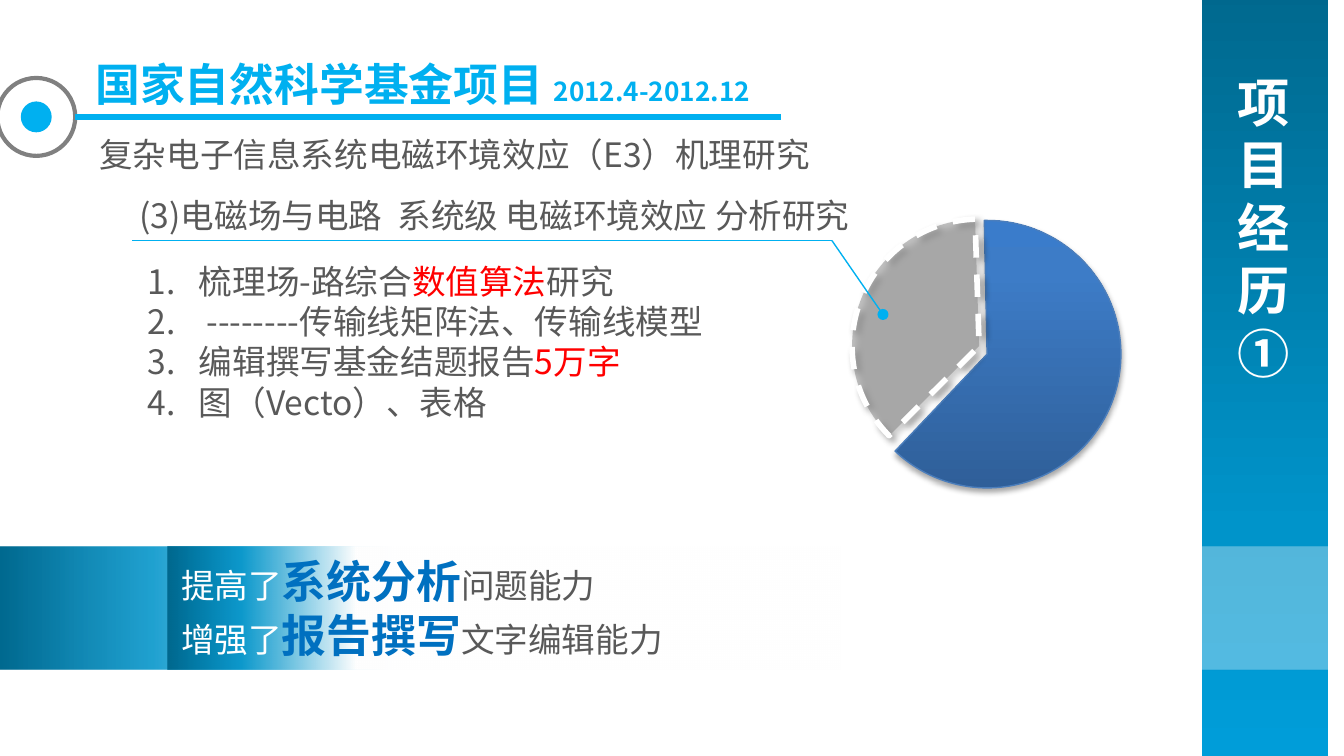
from lxml.etree import SubElement
from pptx import Presentation
from pptx.dml.color import RGBColor
from pptx.enum.dml import MSO_LINE
from pptx.enum.shapes import MSO_CONNECTOR, MSO_SHAPE
from pptx.enum.text import MSO_ANCHOR, MSO_AUTO_SIZE, PP_ALIGN
from pptx.oxml.ns import qn
from pptx.util import Inches, Pt

FONT = "Noto Sans CJK SC"
HUES = {
    "sky": "00B0F0", "gray": "808080", "ink": "595959", "red": "FF0000",
    "blue": "0070C0", "white": "FFFFFF", "black": "000000", "edge": "4B7EBC",
    "deep": "00688E", "sea": "0094CA", "aqua": "00A9EC",
    "navy": "2F5F99", "mid": "3D7CC7", "light": "3A7CCB",
}
FADE = [(0, "deep", 100), (11, "sea", 87), (28, "white", 100), (67, "white", 32)]


def rgb(hue):
    """Return the colour of a named hue."""
    return RGBColor.from_string(HUES[hue])


def add_hue(node, hue, alpha=100):
    """Add a colour with its opacity in percent to an XML node."""
    color = SubElement(node, qn("a:srgbClr"), val=HUES[hue])
    if alpha < 100:
        SubElement(color, qn("a:alpha"), val=str(alpha * 1000))


def shade(shape, stops, angle):
    """Fill a shape with a linear gradient, its angle clockwise."""
    shape.fill.background()
    props = shape.element.spPr
    grad = props.makeelement(qn("a:gradFill"), {"rotWithShape": "1"})
    props.replace(props.find(qn("a:noFill")), grad)
    steps = SubElement(grad, qn("a:gsLst"))
    for place, hue, alpha in stops:
        add_hue(SubElement(steps, qn("a:gs"), pos=str(place * 1000)), hue, alpha)
    SubElement(grad, qn("a:lin"), ang=str(angle * 60000), scaled="0")


def cast(shape, alpha, blur, dist, angle):
    """Give a shape an outer shadow."""
    effects = shape.element.spPr.find(qn("a:effectLst"))
    outer = SubElement(effects, qn("a:outerShdw"), blurRad=str(Pt(blur)),
                       dist=str(Pt(dist)), dir=str(angle * 60000), rotWithShape="0")
    add_hue(outer, "black", alpha)


def add_form(slide, kind, box, fill=None, line=None, width=1):
    """Add a preset shape without shadow."""
    shape = slide.shapes.add_shape(kind, *map(Inches, box))
    shape.shadow.inherit = False
    if fill:
        shape.fill.solid()
        shape.fill.fore_color.rgb = rgb(fill)
    else:
        shape.fill.background()
    if line:
        shape.line.color.rgb = rgb(line)
        shape.line.width = Pt(width)
    else:
        shape.line.fill.background()
    return shape


def add_line(slide, start, end, width):
    """Add a plain sky-blue line."""
    line = slide.shapes.add_connector(
        MSO_CONNECTOR.STRAIGHT, *map(Inches, start + end))
    line.line.color.rgb = rgb("sky")
    line.line.width = Pt(width)
    SubElement(line.element.spPr, qn("a:effectLst"))
    return line


def put_text(shape, lines, wrap=True, anchor=MSO_ANCHOR.TOP):
    """Write lines of (text, size, hue, bold) runs into a shape."""
    frame = shape.text_frame
    frame.auto_size = MSO_AUTO_SIZE.NONE
    frame.word_wrap = wrap
    frame.vertical_anchor = anchor
    for index, runs in enumerate(lines):
        para = frame.add_paragraph() if index else frame.paragraphs[0]
        para.alignment = PP_ALIGN.LEFT
        para.space_before = Pt(0)
        for text, size, hue, bold in runs:
            run = para.add_run()
            run.text = text
            font = run.font
            font.size, font.bold, font.name = Pt(size), bold, FONT
            font.color.rgb = rgb(hue)
            SubElement(font._element, qn("a:ea"), typeface=FONT)


def place(shape, box):
    """Move a shape to a box."""
    shape.left, shape.top, shape.width, shape.height = map(Inches, box)


def add_note(slide, box, lines, wrap=True):
    """Add a text box."""
    put_text(slide.shapes.add_textbox(*map(Inches, box)), lines, wrap)


def add_side(slide, box):
    """Draw the side band with its vertical heading."""
    left, top, _, _ = box
    band = add_form(slide, MSO_SHAPE.PARALLELOGRAM, box)
    band.adjustments[0] = 0
    shade(band, [(0, "deep", 100), (28, "sea", 100), (53, "aqua", 100),
                 (100, "white", 100)], 90)
    add_note(slide, (left + 0.17, top + 0.57, 0.59, 2.46),
             [[(sign, 28, "white", True)] for sign in "项目经历①"], False)


def add_head(slide, box):
    """Place the title, its underline and the ring marker."""
    left, top, width, height = box
    base = top + height
    title = slide.shapes.title
    place(title, box)
    put_text(title, [[("国家自然科学基金项目 ", 24, "sky", True),
                      ("2012.4-2012.12", 14, "sky", True)]],
             False, MSO_ANCHOR.MIDDLE)
    for size, fill, line in ((0.23, "sky", None), (0.58, None, "gray")):
        add_form(slide, MSO_SHAPE.OVAL,
                 (0.27 - size / 2, base - size / 2, size, size), fill, line, 2.25)
    add_line(slide, (0.56, base), (left + width, base), 3)


def add_topic(slide, box):
    """Place the project name, the subtopic and the numbered list."""
    left, top, width, _ = box
    add_note(slide, (left, top, width, 0.4),
             [[("复杂电子信息系统电磁环境效应（E3）机理研究", 18, "ink", False)]])
    add_note(slide, (left + 0.3, top + 0.45, 6.03, 0.4),
             [[("(3)电磁场与电路  系统级 电磁环境效应 分析研究", 18, "ink", False)]])
    body = slide.placeholders[1]
    place(body, (left + 0.36, top + 0.94, 5.66, 1.31))
    items = [
        [("梳理场-路综合", "ink"), ("数值算法", "red"), ("研究", "ink")],
        [(" --------传输线矩阵法、传输线模型", "ink")],
        [("编辑撰写基金结题报告", "ink"), ("5万字", "red")],
        [("图（Vecto）、表格", "ink")],
    ]
    put_text(body, [[(text, 18, hue, False) for text, hue in item] for item in items])
    for para in body.text_frame.paragraphs:
        props = para._p.get_or_add_pPr()
        props.set("marL", str(Inches(0.38)))
        props.set("indent", str(Inches(-0.38)))
        SubElement(props, qn("a:buFont"), typeface="+mj-lt")
        SubElement(props, qn("a:buAutoNum"), type="arabicPeriod")


def add_slice(slide, box, angles, line, width):
    """Add one mirrored pie slice."""
    part = add_form(slide, MSO_SHAPE.PIE, box, "gray", line, width)
    part.adjustments[0], part.adjustments[1] = angles
    part.element.spPr.find(qn("a:xfrm")).set("flipH", "1")
    return part


def add_main(slide, box):
    """Draw the large blue slice."""
    part = add_slice(slide, box, (27.89, 162.74), "edge", 0.75)
    shade(part, [(0, "navy", 100), (80, "mid", 100), (100, "light", 100)], 270)
    cast(part, 35, 3.1, 1.8, 90)


def add_share(slide, box):
    """Draw the dashed gray slice and its callout line."""
    left, top, _, _ = box
    part = add_slice(slide, box, (163.1, 26.93), "white", 3)
    color = part.element.spPr.find(qn("a:solidFill")).find(qn("a:srgbClr"))
    SubElement(color, qn("a:alpha"), val="49000")
    part.line.dash_style = MSO_LINE.DASH
    cast(part, 40, 4, 3, 45)
    bend = (left - 0.15, top + 0.16)
    lead = add_line(slide, (left + 0.23, top + 0.71), bend, 0.75)
    SubElement(lead.element.spPr.find(qn("a:ln")), qn("a:headEnd"), type="oval")
    add_line(slide, bend, (0.98, bend[1]), 0.75)


def add_gains(slide, box):
    """Draw the fading strip with the two gains."""
    _, top, _, height = box
    shade(add_form(slide, MSO_SHAPE.RECTANGLE, box), FADE, 0)
    panel = add_form(slide, MSO_SHAPE.RECTANGLE, (1.25, top, 5, height))
    shade(panel, FADE, 0)
    gains = [("提高了", "系统分析", "问题能力"), ("增强了", "报告撰写", "文字编辑能力")]
    put_text(panel, [[(verb, 18, "white", False), (skill, 24, "blue", True),
                      (rest, 18, "ink", False)] for verb, skill, rest in gains])


def main():
    """Build and save the slide."""
    deck = Presentation()
    deck.slide_width = Inches(10)
    deck.slide_height = deck.slide_width * 9 // 16
    slide = deck.slides.add_slide(deck.slide_layouts[1])
    slide.background.fill.solid()
    slide.background.fill.fore_color.rgb = rgb("white")
    add_side(slide, (8.94, -0.1, 0.94, 14.41))
    add_head(slide, (0.61, 0.37, 5.2, 0.5))
    add_topic(slide, (0.64, 0.95, 5.81, 2.25))
    add_main(slide, (6.35, 1.64, 1.99, 1.99))
    add_gains(slide, (-0.02, 4.07, 10.45, 0.91))
    add_share(slide, (6.34, 1.63, 1.89, 1.89))
    deck.save("out.pptx")


if __name__ == "__main__":
    main()
